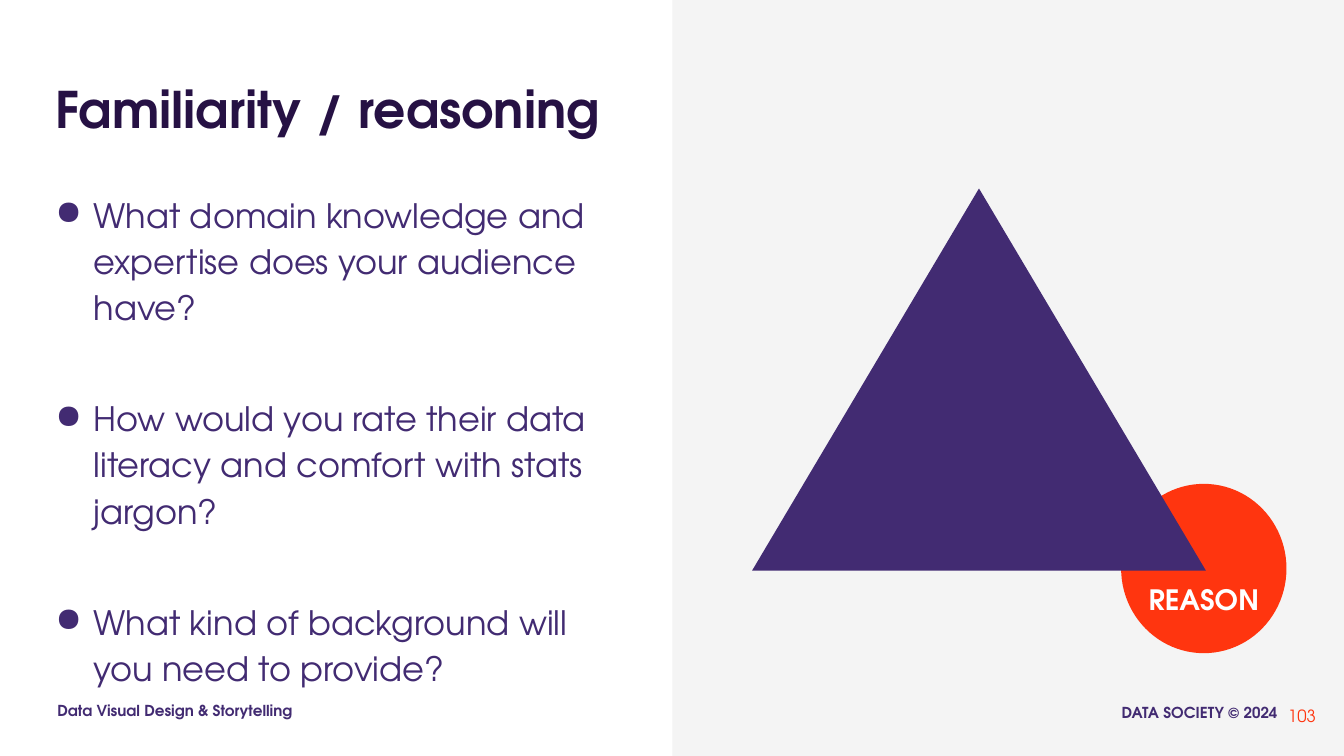
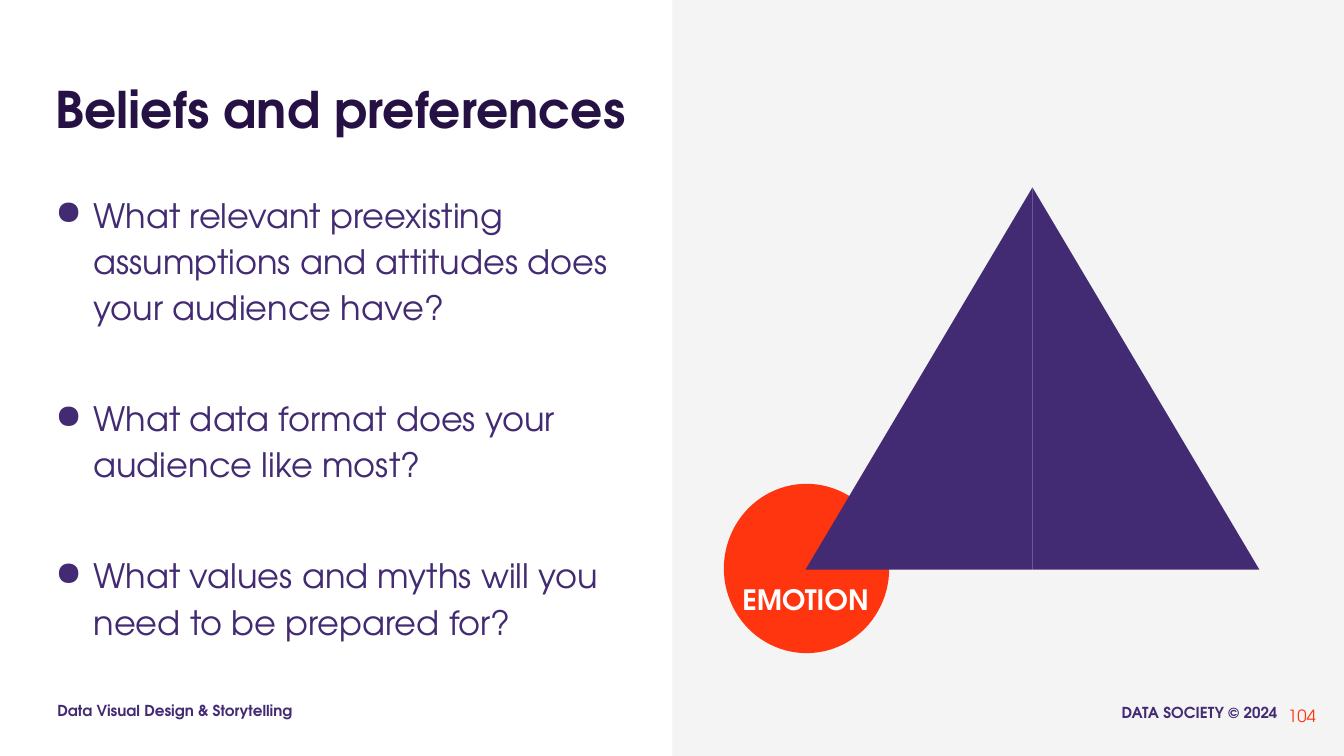
from pptx import Presentation
from pptx.dml.color import RGBColor
from pptx.enum.shapes import MSO_SHAPE as Preset
from pptx.enum.text import MSO_ANCHOR as Anchor, PP_ALIGN as Align
from pptx.oxml.ns import qn
from pptx.util import Inches, Pt
from lxml import etree

FONT = "TeX Gyre Adventor"
WHITE = RGBColor(0xFF, 0xFF, 0xFF)
PANEL = RGBColor(0xF4, 0xF4, 0xF4)
PURPLE = RGBColor(0x42, 0x2B, 0x72)
DARK = RGBColor(0x26, 0x11, 0x44)
ORANGE = RGBColor(0xFF, 0x35, 0x0F)

# Margins are left/right, top, bottom
STYLES = {
    "title": dict(size=36, bold=True, color=DARK, align=Align.LEFT,
                  anchor=Anchor.BOTTOM, margins=(0.1, 0.05, 0.05)),
    "body": dict(size=24, bold=False, color=PURPLE, align=Align.LEFT,
                 anchor=Anchor.TOP, margins=(0.1, 0.19, 0.1)),
    "course": dict(size=10.8, bold=True, color=PURPLE, align=Align.LEFT,
                   anchor=Anchor.TOP, margins=(0.12, 0.12, 0.12)),
    "copyright": dict(size=10.8, bold=True, color=PURPLE, align=Align.RIGHT,
                      anchor=Anchor.TOP, margins=(0.12, 0.12, 0.12)),
    "number": dict(size=12, bold=False, color=ORANGE, align=Align.RIGHT,
                   anchor=Anchor.MIDDLE, margins=(0.1, 0.05, 0.05)),
    "label": dict(size=20, bold=True, color=WHITE, align=Align.CENTER,
                  anchor=Anchor.TOP, margins=(0.13, 0.13, 0.13)),
}

# Triangle half and circle sizes
HALF_WIDTH, TRIANGLE_HEIGHT = 2.25, 3.79
CIRCLE_WIDTH, CIRCLE_HEIGHT = 1.64, 1.68
CIRCLE_MIDDLE = 5.64
PIE_UNITS_PER_DEGREE = 0.6

SLIDES = [
    dict(number="103", title="Familiarity / reasoning", label="REASON",
         apex=(9.71, 1.87), circle_center=11.94, label_left=11, pie=(228, 192),
         bullets=["What domain knowledge and expertise does your audience have?",
                  "How would you rate their data literacy and comfort with stats jargon?",
                  "What kind of background will you need to provide?"]),
    dict(number="104", title="Beliefs and preferences", label="EMOTION",
         apex=(10.24, 1.86), circle_center=8, label_left=7.05, pie=(348, 312),
         bullets=["What relevant preexisting assumptions and attitudes does your audience have?",
                  "What data format does your audience like most?",
                  "What values and myths will you need to be prepared for?"]),
]


def add_text(page, style_name, texts, left, top, width, height):
    """Add a text box with one paragraph per text, and return its paragraphs."""
    style = STYLES[style_name]
    side, upper, lower = style["margins"]
    box = page.shapes.add_textbox(Inches(left), Inches(top), Inches(width), Inches(height))
    frame = box.text_frame
    frame_format = dict(word_wrap=True, vertical_anchor=style["anchor"],
                        margin_left=Inches(side), margin_right=Inches(side),
                        margin_top=Inches(upper), margin_bottom=Inches(lower))
    for name, value in frame_format.items():
        setattr(frame, name, value)
    for index, text in enumerate(texts):
        para = frame.paragraphs[0] if index == 0 else frame.add_paragraph()
        para.alignment = style["align"]
        span = para.add_run()
        span.text = text
        for name, value in dict(name=FONT, size=Pt(style["size"]), bold=style["bold"]).items():
            setattr(span.font, name, value)
        span.font.color.rgb = style["color"]
    return frame.paragraphs


def add_flat_shape(page, preset, color, left, top, width, height):
    shape = page.shapes.add_shape(preset, Inches(left), Inches(top), Inches(width), Inches(height))
    shape.shadow.inherit = False
    shape.fill.solid()
    shape.fill.fore_color.rgb = color
    shape.line.fill.background()
    return shape


deck = Presentation()
deck.slide_width, deck.slide_height = Inches(13.33), Inches(7.5)

for content in SLIDES:
    page = deck.slides.add_slide(deck.slide_layouts[6])

    # Panel and footer
    add_flat_shape(page, Preset.RECTANGLE, PANEL, 6.67, 0, 6.66, 7.5)
    add_text(page, "course", ["Data Visual Design & Storytelling"], 0.45, 6.87, 2.74, 0.42)
    add_text(page, "copyright", ["DATA SOCIETY © 2024"], 10.57, 6.89, 2.22, 0.42)
    add_text(page, "number", [content["number"]], 12.35, 6.89, 0.8, 0.42)

    # Title and questions
    add_text(page, "title", [content["title"]], 0.45, 0.58, 12.42, 0.84)
    questions = add_text(page, "body", content["bullets"], 0.45, 1.68, 5.83, 4.98)
    for index, para in enumerate(questions):
        para.line_spacing = 1.15
        para.space_before = Pt(46 if index else 0)
        properties = para._p.get_or_add_pPr()
        properties.set("marL", str(Inches(0.38)))
        properties.set("indent", str(-Inches(0.38)))
        bullet_color = etree.SubElement(properties, qn("a:buClr"))
        etree.SubElement(bullet_color, qn("a:srgbClr"), val=str(PURPLE))
        etree.SubElement(properties, qn("a:buChar"), char="●")

    # Circle behind one corner of the triangle
    circle = add_flat_shape(page, Preset.PIE, ORANGE,
                            content["circle_center"] - CIRCLE_WIDTH / 2,
                            CIRCLE_MIDDLE - CIRCLE_HEIGHT / 2, CIRCLE_WIDTH, CIRCLE_HEIGHT)
    for index, angle in enumerate(content["pie"]):
        circle.adjustments[index] = angle * PIE_UNITS_PER_DEGREE

    # Triangle made of two mirrored halves
    apex_left, apex_top = content["apex"]
    add_flat_shape(page, Preset.RIGHT_TRIANGLE, PURPLE,
                   apex_left, apex_top, HALF_WIDTH, TRIANGLE_HEIGHT)
    left_half = add_flat_shape(page, Preset.RIGHT_TRIANGLE, PURPLE,
                               apex_left - HALF_WIDTH, apex_top, HALF_WIDTH, TRIANGLE_HEIGHT)
    left_half._element.spPr.find(qn("a:xfrm")).set("flipH", "1")

    add_text(page, "label", [content["label"]], content["label_left"], 5.65, 1.88, 0.52)

deck.save("out.pptx")
